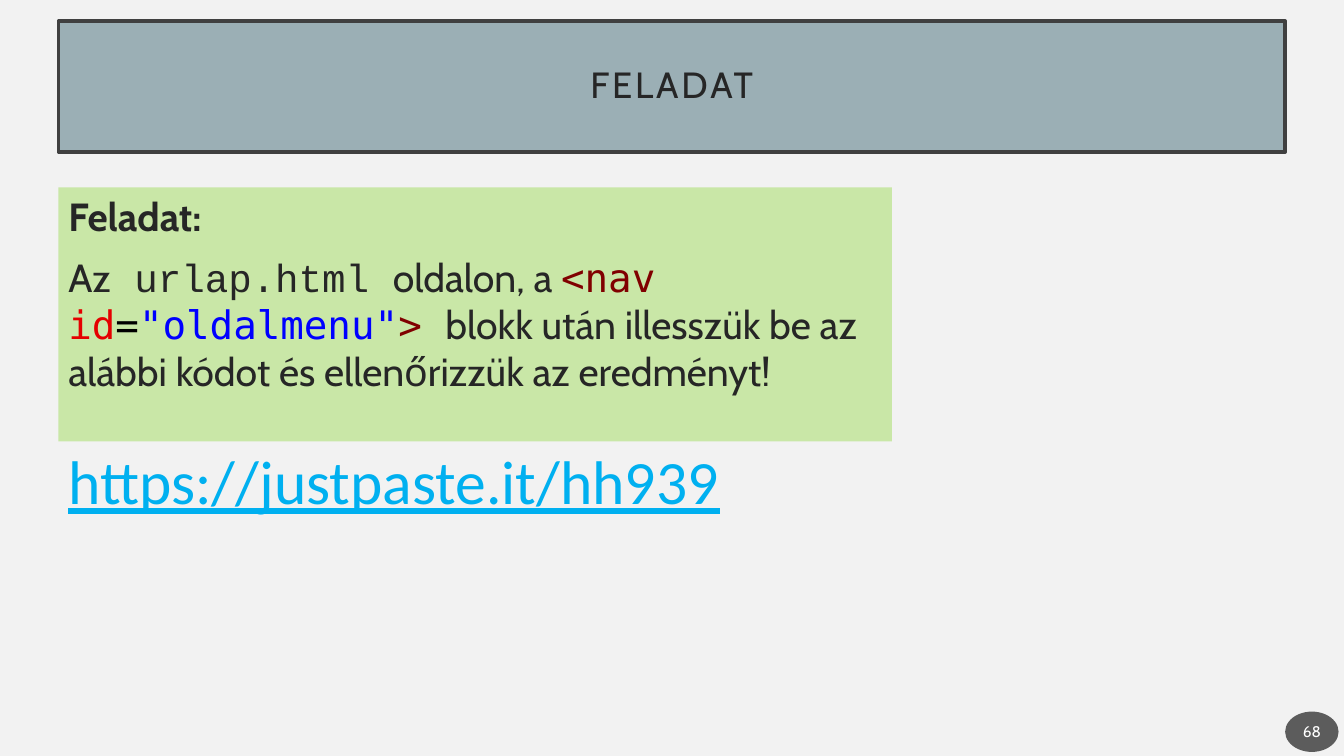
from dataclasses import dataclass
from typing import Any, Optional

import pptx
import pptx.dml.color
import pptx.enum.shapes
import pptx.enum.text
import pptx.oxml
import pptx.oxml.ns
import pptx.util

Pt = pptx.util.Pt
Shape = pptx.enum.shapes.MSO_SHAPE
Align = pptx.enum.text.PP_ALIGN
Anchor = pptx.enum.text.MSO_ANCHOR

COLORS = {
    "back": "F2F2F2", "band": "9BAFB5", "edge": "404040", "ink": "262626",
    "task": "C9E7A7", "badge": "1D1D1D", "white": "FFFFFF", "link": "00B0F0",
    "tag": "800000", "attr": "E50000", "sign": "000000", "value": "0000FF",
}
CODE = "DejaVu Sans Mono"
LEFT = 41.76


@dataclass
class Run:
    text: str
    size: float = 28
    font: str = "Cabin"
    color: str = "ink"
    bold: bool = False
    under: bool = False
    track: int = 0


@dataclass
class Box:
    place: tuple[float, float, float, float]
    lines: list[list[Run]]
    kind: Any = Shape.RECTANGLE
    fill: Optional[str] = None
    edge: Optional[str] = None
    align: Any = Align.LEFT
    anchor: Any = Anchor.TOP
    inset: tuple[float, float] = (7.2, 3.6)
    pitch: float = 1.0
    alpha: int = 100


TITLE = Box((LEFT, 15.12, 876.24, 93.6), [[Run("FELADAT", 26, track=200)]],
            fill="band", edge="edge", align=Align.CENTER,
            anchor=Anchor.MIDDLE, inset=(14.4, 14.4), pitch=0.9)
TASK = Box((LEFT, 133.92, 595.44, 181.44), [
    [Run("Feladat:", bold=True)],
    [Run("Az"),
     Run(" urlap.html ", font="Courier New"),
     Run("oldalon, a "),
     Run("<nav ", font=CODE, color="tag"),
     Run("id", font=CODE, color="attr"),
     Run("=", font=CODE, color="sign"),
     Run('"oldalmenu"', font=CODE, color="value"),
     Run("> ", font=CODE, color="tag"),
     Run("blokk után illesszük be az alábbi kódot és ellenőrizzük az eredményt!")],
], fill="task")
BADGE = Box((918, 508.32, 38.16, 28.8), [[Run("68", 11, color="white")]],
            kind=Shape.OVAL, fill="badge", align=Align.CENTER,
            anchor=Anchor.MIDDLE, inset=(1.44, 3.6), alpha=70)
LINK = Box((LEFT, 313.2, 591.84, 60.48),
           [[Run("https://justpaste.it/hh939", 44, "Calibri", "link", under=True)]])


def tint(name: str) -> pptx.dml.color.RGBColor:
    return pptx.dml.color.RGBColor.from_string(COLORS[name])


def write(para: Any, item: Run) -> None:
    run = para.add_run()
    run.text = item.text
    font = run.font
    font.size = Pt(item.size)
    font.name = item.font
    font.bold = item.bold
    font.underline = item.under
    font.color.rgb = tint(item.color)
    if item.track:
        run._r.get_or_add_rPr().set("spc", str(item.track))


def paint(shape: Any, box: Box) -> None:
    if box.fill:
        shape.fill.solid()
        shape.fill.fore_color.rgb = tint(box.fill)
    else:
        shape.fill.background()
    if box.alpha < 100:
        color = shape._element.spPr.find(".//" + pptx.oxml.ns.qn("a:srgbClr"))
        color.append(pptx.oxml.parse_xml(
            f'<a:alpha {pptx.oxml.ns.nsdecls("a")} val="{box.alpha * 1000}"/>'))
    if box.edge:
        shape.line.color.rgb = tint(box.edge)
        shape.line.width = Pt(2.5)
    else:
        shape.line.fill.background()


def fill_in(shape: Any, box: Box) -> None:
    shape.left, shape.top, shape.width, shape.height = map(Pt, box.place)
    paint(shape, box)
    frame = shape.text_frame
    frame.word_wrap = True
    frame.auto_size = pptx.enum.text.MSO_AUTO_SIZE.NONE
    frame.vertical_anchor = box.anchor
    frame.margin_left = frame.margin_right = Pt(box.inset[0])
    frame.margin_top = frame.margin_bottom = Pt(box.inset[1])
    for spot, line in enumerate(box.lines):
        para = frame.add_paragraph() if spot else frame.paragraphs[0]
        para.alignment = box.align
        para.line_spacing = box.pitch
        para.space_before = Pt(10 if spot else 0)
        for item in line:
            write(para, item)


def draw(slide: Any, box: Box) -> None:
    if box.fill:
        shape = slide.shapes.add_shape(box.kind, *map(Pt, box.place))
        shape.shadow.inherit = False
    else:
        shape = slide.shapes.add_textbox(*map(Pt, box.place))
    fill_in(shape, box)


def main() -> None:
    deck = pptx.Presentation()
    deck.slide_width, deck.slide_height = Pt(960), Pt(540)
    slide = deck.slides.add_slide(deck.slide_layouts[5])
    slide.background.fill.solid()
    slide.background.fill.fore_color.rgb = tint("back")
    fill_in(slide.shapes.title, TITLE)
    for box in (TASK, BADGE, LINK):
        draw(slide, box)
    deck.save("out.pptx")


if __name__ == "__main__":
    main()
